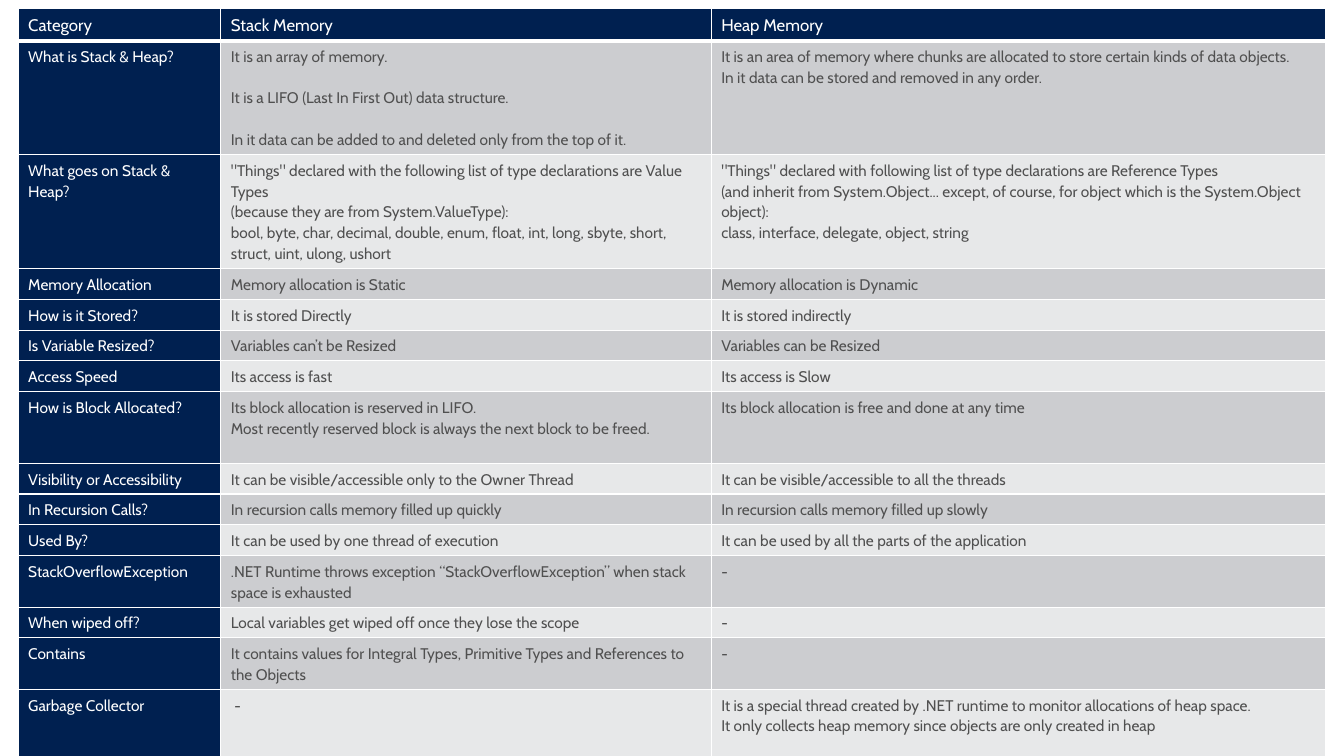
from dataclasses import dataclass

import pptx
import pptx.dml.color
import pptx.oxml
import pptx.oxml.ns
import pptx.util

Inches = pptx.util.Inches
Points = pptx.util.Pt


@dataclass(frozen=True)
class Theme:
    font: str = "Cabin"
    navy: str = "002050"
    white: str = "FFFFFF"
    text: str = "505050"
    bands: tuple[str, str] = ("CCCDD0", "E7E8E9")
    header_size: float = 12
    body_size: float = 11
    line_spacing: float = 1.1
    blank_line: float = 14.8
    border: float = 1
    header_border: float = 3


@dataclass(frozen=True)
class Comparison:
    """One table row; a double line break in a text is a one-line gap."""
    category: str
    stack: str
    heap: str
    lines: int = 1


THEME = Theme()
PAGE_WIDTH, PAGE_HEIGHT = 13.33, 7.5
TABLE_LEFT, TABLE_TOP, TABLE_WIDTH = 0.18, 0.08, 12.97
COLUMN_SHARES = (0.155, 0.375, 0.47)
HEADER_HEIGHT, LINE_HEIGHT, ROW_PADDING = 0.32, 0.21, 0.08

HEADER = Comparison("Category", "Stack Memory", "Heap Memory")
COMPARISONS = (
    Comparison(
        "What is Stack & Heap?",
        "It is an array of memory.\n\n"
        "It is a LIFO (Last In First Out) data structure.\n\n"
        "In it data can be added to and deleted only from the top of it.",
        "It is an area of memory where chunks are allocated to store certain kinds of data objects.\n"
        "In it data can be stored and removed in any order.", 5),
    Comparison(
        "What goes on Stack & Heap?",
        '"Things" declared with the following list of type declarations are Value Types\n'
        "(because they are from System.ValueType):\n"
        "bool, byte, char, decimal, double, enum, float, int, long, sbyte, short, "
        "struct, uint, ulong, ushort",
        '"Things" declared with following list of type declarations are Reference Types\n'
        "(and inherit from System.Object... except, of course, for object which is the "
        "System.Object object):\n"
        "class, interface, delegate, object, string", 5),
    Comparison("Memory Allocation", "Memory allocation is Static", "Memory allocation is Dynamic"),
    Comparison("How is it Stored?", "It is stored Directly", "It is stored indirectly"),
    Comparison("Is Variable Resized?", "Variables can’t be Resized", "Variables can be Resized"),
    Comparison("Access Speed", "Its access is fast", "Its access is Slow"),
    Comparison(
        "How is Block Allocated?",
        "Its block allocation is reserved in LIFO.\n"
        "Most recently reserved block is always the next block to be freed.",
        "Its block allocation is free and done at any time", 3),
    Comparison(
        "Visibility or Accessibility",
        "It can be visible/accessible only to the Owner Thread",
        "It can be visible/accessible to all the threads"),
    Comparison(
        "In Recursion Calls?",
        "In recursion calls memory filled up quickly",
        "In recursion calls memory filled up slowly"),
    Comparison(
        "Used By?",
        "It can be used by one thread of execution",
        "It can be used by all the parts of the application"),
    Comparison(
        "StackOverflowException",
        ".NET Runtime throws exception “StackOverflowException” when stack space is exhausted",
        "-", 2),
    Comparison("When wiped off?", "Local variables get wiped off once they lose the scope", "-"),
    Comparison(
        "Contains",
        "It contains values for Integral Types, Primitive Types and References to the Objects",
        "-", 2),
    Comparison(
        "Garbage Collector",
        " -",
        "It is a special thread created by .NET runtime to monitor allocations of heap space.\n"
        "It only collects heap memory since objects are only created in heap", 3),
)


def color(value: str) -> pptx.dml.color.RGBColor:
    return pptx.dml.color.RGBColor.from_string(value)


def add_borders(cell: pptx.table._Cell, bottom: float) -> None:
    """Put the four white edges ahead of the cell's fill, as the schema asks."""
    properties = cell._tc.get_or_add_tcPr()
    widths = {"lnL": THEME.border, "lnR": THEME.border, "lnT": THEME.border, "lnB": bottom}
    for position, (edge, width) in enumerate(widths.items()):
        properties.insert(position, pptx.oxml.parse_xml(
            f'<a:{edge} {pptx.oxml.ns.nsdecls("a")} w="{Points(width)}">'
            f'<a:solidFill><a:srgbClr val="{THEME.white}"/></a:solidFill></a:{edge}>'))


def write_cell(cell: pptx.table._Cell, text: str, size: float, ink: str, fill: str,
               bottom: float) -> None:
    has_gaps = "\n\n" in text
    cell.text_frame.text = text.replace("\n\n", "\n")
    for position, paragraph in enumerate(cell.text_frame.paragraphs):
        paragraph.line_spacing = THEME.line_spacing
        if has_gaps and position > 0:
            paragraph.space_before = Points(THEME.blank_line)
        for span in paragraph.runs:
            span.font.name = THEME.font
            span.font.size = Points(size)
            span.font.bold = False
            span.font.color.rgb = color(ink)
    cell.fill.solid()
    cell.fill.fore_color.rgb = color(fill)
    add_borders(cell, bottom)


def add_comparison_table(page: pptx.slide.Slide) -> None:
    rows = (HEADER, *COMPARISONS)
    heights = [HEADER_HEIGHT] + [ROW_PADDING + LINE_HEIGHT * row.lines for row in COMPARISONS]
    table = page.shapes.add_table(
        len(rows), len(COLUMN_SHARES), Inches(TABLE_LEFT), Inches(TABLE_TOP),
        Inches(TABLE_WIDTH), Inches(sum(heights))).table
    for column, share in zip(table.columns, COLUMN_SHARES):
        column.width = Inches(TABLE_WIDTH * share)
    for row_number, (row, height) in enumerate(zip(rows, heights)):
        table.rows[row_number].height = Inches(height)
        is_header = row_number == 0
        size = THEME.header_size if is_header else THEME.body_size
        bottom = THEME.header_border if is_header else THEME.border
        band = THEME.bands[(row_number - 1) % 2]
        for column_number, text in enumerate((row.category, row.stack, row.heap)):
            is_label = is_header or column_number == 0
            write_cell(table.cell(row_number, column_number), text, size,
                       THEME.white if is_label else THEME.text,
                       THEME.navy if is_label else band, bottom)


def main() -> None:
    deck = pptx.Presentation()
    deck.slide_width = Inches(PAGE_WIDTH)
    deck.slide_height = Inches(PAGE_HEIGHT)
    page = deck.slides.add_slide(deck.slide_layouts[6])
    add_comparison_table(page)
    deck.save("out.pptx")


if __name__ == "__main__":
    main()
